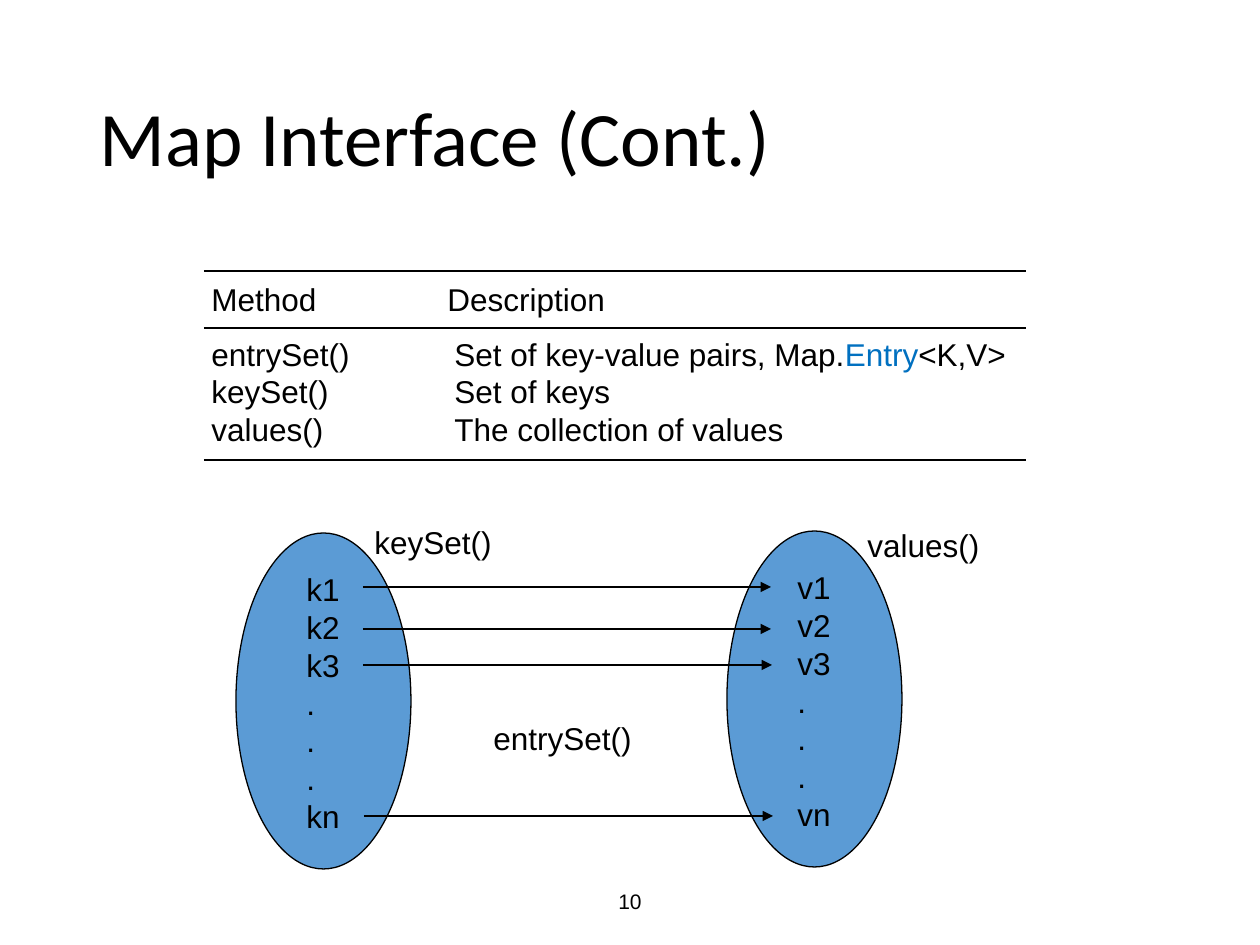
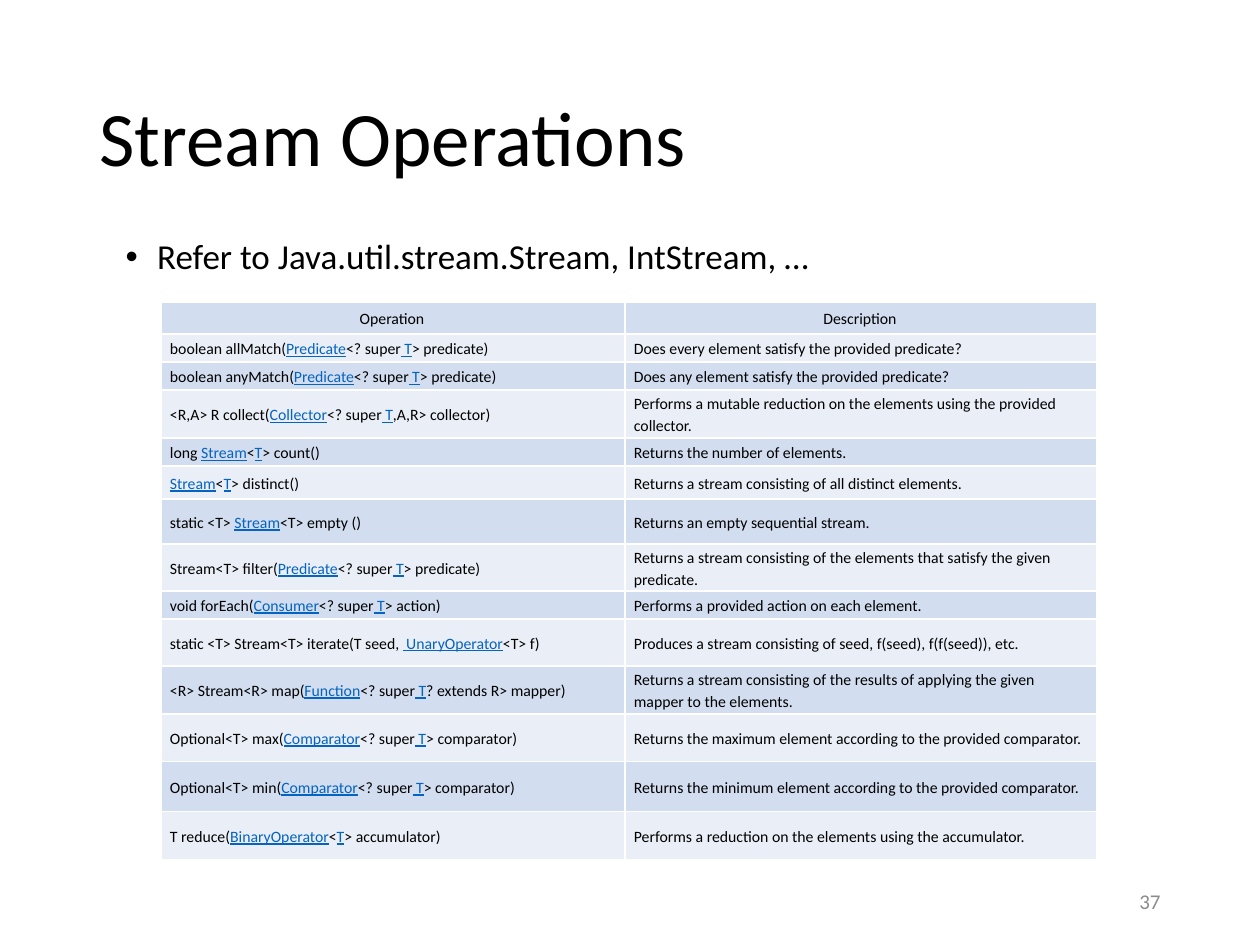
from lxml import etree
from pptx import Presentation
from pptx.dml.color import RGBColor
from pptx.enum.shapes import MSO_CONNECTOR, MSO_SHAPE
from pptx.enum.text import MSO_ANCHOR, MSO_AUTO_SIZE, PP_ALIGN
from pptx.oxml import parse_xml
from pptx.oxml.ns import nsdecls, qn
from pptx.util import Emu, Pt

LINE = MSO_CONNECTOR.STRAIGHT
OVAL = MSO_SHAPE.OVAL
MIDDLE, TOP = MSO_ANCHOR.MIDDLE, MSO_ANCHOR.TOP
LEFT, CENTER, RIGHT = PP_ALIGN.LEFT, PP_ALIGN.CENTER, PP_ALIGN.RIGHT
FIXED, GROW = MSO_AUTO_SIZE.NONE, MSO_AUTO_SIZE.SHAPE_TO_FIT_TEXT

SCALE = 914400 // 126
COLORS = {
    "text": "000000", "entry": "0070C0", "link": "0563C1", "oval": "5B9BD5",
    "dark": "D2DEEF", "light": "EAEFF7", "border": "FFFFFF", "page": "8C8C8C",
}
SANS, BODY = "Arial", "Calibri"

METHODS = [
    ("Method\tDescription", 236, 0),
    ("entrySet()\tSet of key-value pairs, Map.|Entry|<K,V>", 243, 9.5),
    ("keySet()\tSet of keys", 243, 0),
    ("values()\tThe collection of values", 243, 0),
]
ITEMS = ["1", "2", "3", ".", ".", ".", "n"]
LABELS = [("keySet()", 362, 517, 146), ("values()", 855, 520, 141),
          ("entrySet()", 481, 713, 168)]
ARROWS = [(587, 0), (629, 0), (665, 1), (816, 2)]

HEADS = ("Operation", "Description")
OPS = [
    ("boolean allMatch(|Predicate|<? super| T|> predicate)",
     "Does every element satisfy the provided predicate?", 28),
    ("boolean anyMatch(|Predicate|<? super| T|> predicate)",
     "Does any element satisfy the provided predicate?", 28),
    ("<R,A> R collect(|Collector|<? super| T|,A,R> collector)",
     "Performs a mutable reduction on the elements using the provided "
     "collector.", 48),
    ("long |Stream|<|T|> count()", "Returns the number of elements.", 28),
    ("|Stream|<|T|> distinct()",
     "Returns a stream consisting of all distinct elements.", 33),
    ("static <T> |Stream|<T> empty ()",
     "Returns an empty sequential stream.", 45),
    ("Stream<T> filter(|Predicate|<? super| T|> predicate)",
     "Returns a stream consisting of the elements that satisfy the given "
     "predicate.", 47),
    ("void forEach(|Consumer|<? super| T|> action)",
     "Performs a provided action on each element.", 28),
    ("static <T> Stream<T> iterate(T seed, | UnaryOperator|<T> f)",
     "Produces a stream consisting of seed, f(seed), f(f(seed)), etc.", 47),
    ("<R> Stream<R> map(|Function|<? super| T|? extends R> mapper)",
     "Returns a stream consisting of the results of applying the given "
     "mapper to the elements.", 48),
    ("Optional<T> max(|Comparator|<? super| T|> comparator)",
     "Returns the maximum element according to the provided comparator.", 48),
    ("Optional<T> min(|Comparator|<? super| T|> comparator)",
     "Returns the minimum element according to the provided comparator.", 50),
    ("T reduce(|BinaryOperator|<|T|> accumulator)",
     "Performs a reduction on the elements using the accumulator.", 48),
]


def px(n):
    return Emu(n * SCALE)


def rgb(name):
    return RGBColor.from_string(COLORS[name])


def write(para, text, size, font=BODY, color="text", align=LEFT, space=None,
          mark="link"):
    para.font.size = Pt(size)
    para.font.name = font
    para.alignment = align
    para.line_spacing = space
    for i, part in enumerate(text.split("|")):
        if part:
            run = para.add_run()
            run.text = part
            run.font.color.rgb = rgb(mark if i % 2 else color)
            if i % 2 and mark == "link":
                run.font.underline = True


def place(shape, x, y, w, h):
    shape.left, shape.top = px(x), px(y)
    shape.width, shape.height = px(w), px(h)


def frame(shape, wrap=True, anchor=TOP, size=FIXED):
    body = shape.text_frame
    body.word_wrap = wrap
    body.auto_size = size
    body.vertical_anchor = anchor
    return body


def add_text(shapes, lines, x, y, w, h):
    box = shapes.add_textbox(px(x), px(y), px(w), px(h))
    body = frame(box, wrap=False, size=GROW)
    for i, line in enumerate(lines):
        para = body.add_paragraph() if i else body.paragraphs[0]
        write(para, line, 18, SANS, space=Pt(21.6))


def add_title(slide, text):
    title = slide.shapes.title
    place(title, 87, 50, 1086, 183)
    para = frame(title, anchor=MIDDLE).paragraphs[0]
    write(para, text, 44, space=0.9)


def add_page(slide, num, x, w, font, color, align):
    box = slide.shapes.add_textbox(px(x), px(876), px(w), px(50))
    para = frame(box, anchor=MIDDLE).paragraphs[0]
    write(para, num, 12, font, color, align)


def add_line(slide, x, y, end, arrow=False):
    line = slide.shapes.add_connector(LINE, px(x), px(y), px(end), px(y))
    line.line.color.rgb = rgb("text")
    line.line.width = Pt(0.75)
    if arrow:
        tail = etree.SubElement(line.line._get_or_add_ln(), qn("a:tailEnd"))
        tail.set("type", "triangle")
    etree.SubElement(line._element.spPr, qn("a:effectLst"))


def add_methods(slide):
    box = slide.shapes.add_textbox(px(199), px(274), px(823), px(183))
    body = frame(box, size=GROW)
    for i, (text, stop, gap) in enumerate(METHODS):
        para = body.add_paragraph() if i else body.paragraphs[0]
        write(para, text, 18, SANS, space=Pt(21.6), mark="entry")
        para.space_before = Pt(gap)
        tabs = parse_xml(f'<a:tabLst {nsdecls("a")}>'
                         f'<a:tab pos="{px(stop)}" algn="l"/></a:tabLst>')
        props = para._p.get_or_add_pPr()
        props.insert_element_before(tabs, "a:defRPr", "a:extLst")
    for y in (271, 328, 460):
        add_line(slide, 204, y, 1026)


def add_set(slide, key, x, y):
    group = slide.shapes.add_group_shape()
    oval = group.shapes.add_shape(OVAL, px(x), px(y), px(175), px(336))
    oval.shadow.inherit = False
    oval.fill.solid()
    oval.fill.fore_color.rgb = rgb("oval")
    oval.line.color.rgb = rgb("text")
    oval.line.width = Pt(0.75)
    lines = [item if item == "." else key + item for item in ITEMS]
    add_text(group.shapes, lines, x + 58, y + 31, 60, 277)


def add_list(slide, text):
    body = slide.placeholders[1]
    place(body, 113, 233, 1033, 55)
    para = frame(body).paragraphs[0]
    write(para, text, 20, space=0.9)
    para.space_before = Pt(10)
    props = para._p.get_or_add_pPr()
    props.set("marL", "228600")
    props.set("indent", "-228600")


def fill_cell(cell, text, fill, align):
    cell.margin_left, cell.margin_right = px(9), px(11)
    cell.margin_top = cell.margin_bottom = 0
    cell.vertical_anchor = MIDDLE
    props = cell._tc.get_or_add_tcPr()
    for side in "LRTB":
        props.append(parse_xml(
            f'<a:ln{side} {nsdecls("a")} w="12700"><a:solidFill>'
            f'<a:srgbClr val="{COLORS["border"]}"/>'
            f'</a:solidFill></a:ln{side}>'))
    cell.fill.solid()
    cell.fill.fore_color.rgb = rgb(fill)
    write(cell.text_frame.paragraphs[0], text, 9, align=align, space=1.15)


def add_ops(slide):
    rows = [(*HEADS, 32)] + OPS
    high = sum(row[2] for row in rows)
    shape = slide.shapes.add_table(len(rows), 2, px(161), px(302),
                                   px(936), px(high))
    table = shape.table
    table.first_row = table.horz_banding = False
    table.columns[0].width, table.columns[1].width = px(464), px(472)
    for i, (*texts, tall) in enumerate(rows):
        table.rows[i].height = px(tall)
        for j, text in enumerate(texts):
            fill_cell(table.cell(i, j), text, "light" if i % 2 else "dark",
                      LEFT if i else CENTER)


def map_slide(deck):
    slide = deck.slides.add_slide(deck.slide_layouts[5])
    add_page(slide, "10", 417, 426, SANS, "text", CENTER)
    add_title(slide, "Map Interface (Cont.)")
    add_methods(slide)
    add_set(slide, "k", 236, 533)
    add_set(slide, "v", 727, 531)
    for y, shift in ARROWS:
        add_line(slide, 363 + shift // 2, y, 771 + shift, arrow=True)
    for text, x, y, w in LABELS:
        add_text(slide.shapes, [text], x, y, w, 50)


def stream_slide(deck):
    slide = deck.slides.add_slide(deck.slide_layouts[1])
    add_title(slide, "Stream Operations")
    add_list(slide, "Refer to Java.util.stream.Stream, IntStream, …")
    add_ops(slide)
    add_page(slide, "37", 890, 283, BODY, "page", RIGHT)


def main():
    deck = Presentation()
    deck.slide_width, deck.slide_height = px(1260), px(945)
    map_slide(deck)
    stream_slide(deck)
    deck.save("out.pptx")


main()
